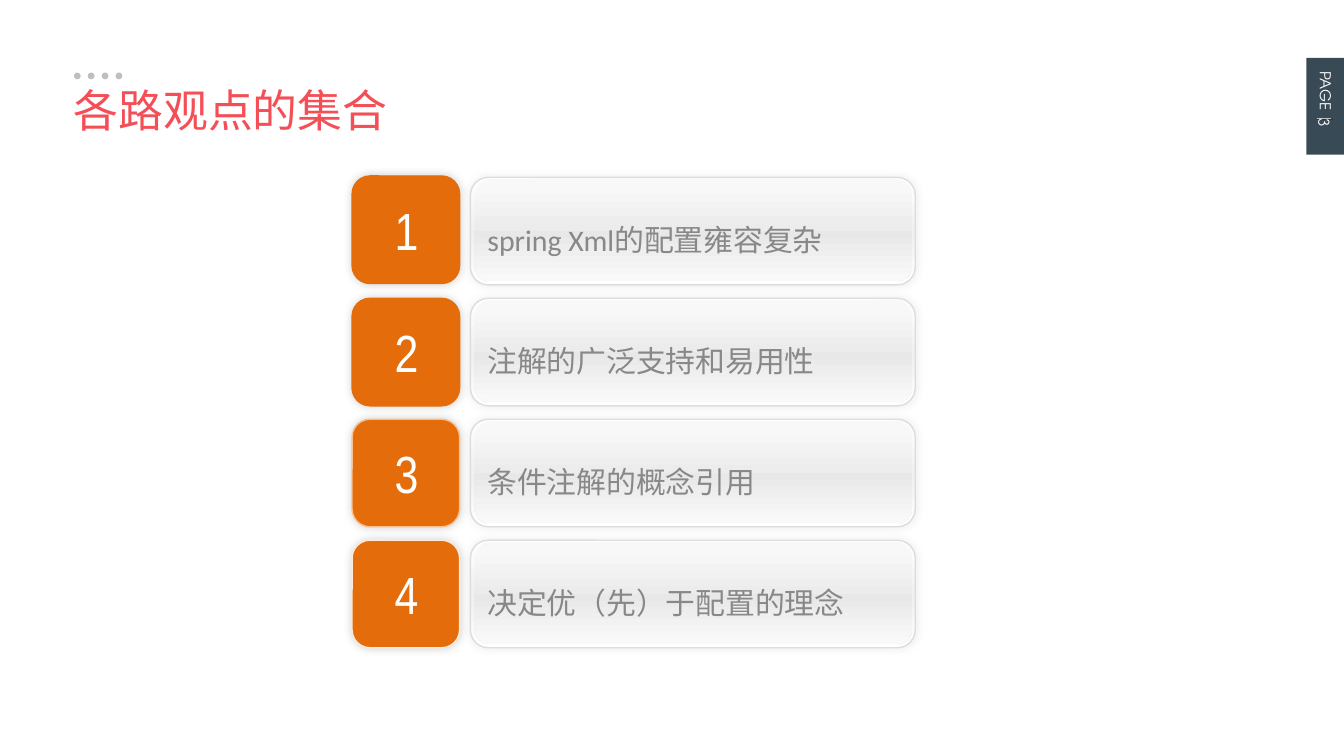
"""Build the slide that lists four viewpoints as numbered panels."""
from lxml.etree import SubElement
from pptx import Presentation
from pptx.dml.color import RGBColor
from pptx.enum.shapes import MSO_CONNECTOR, MSO_SHAPE
from pptx.enum.text import MSO_ANCHOR, MSO_AUTO_SIZE, PP_ALIGN
from pptx.oxml.ns import qn
from pptx.util import Inches, Pt

WHITE = RGBColor(0xFF, 0xFF, 0xFF)
SILVER = RGBColor(0xBF, 0xBF, 0xBF)
SLATE = RGBColor(0x39, 0x4A, 0x57)
DARK_SLATE = RGBColor(0x28, 0x33, 0x3C)
PANEL_EDGE = RGBColor(0xDD, 0xDD, 0xDD)
PANEL_TEXT = RGBColor(0x88, 0x88, 0x88)
ORANGE = RGBColor(0xE4, 0x6C, 0x0A)
PEACH = RGBColor(0xFA, 0xC0, 0x90)
CREAM = RGBColor(0xFD, 0xEA, 0xDA)
RED = RGBColor(0xF4, 0x4F, 0x56)

RIM_STOPS = [(0, "FFFFFF"), (52, "F0F0F0"), (100, "FFFFFF")]
FACE_STOPS = [(8, "F8F8F8"), (50, "ECECEC"), (52, "E8E8E8"), (98, "F9F9F9"), (100, "FFFFFF")]
ROWS = [
    ("spring Xml的配置雍容复杂", 1.31, ORANGE),
    ("注解的广泛支持和易用性", 2.22, ORANGE),
    ("条件注解的概念引用", 3.12, PEACH),
    ("决定优（先）于配置的理念", 4.02, CREAM),
]


def draw_shape(kind, left, top, width, height, fill, edge=None, shade=0):
    shape = page.shapes.add_shape(kind, Inches(left), Inches(top), Inches(width), Inches(height))
    shape.shadow.inherit = False
    properties = shape.element.spPr
    if isinstance(fill, list):
        shape.fill.gradient()
        shape.fill.gradient_angle = 270
        stops = properties.find(".//" + qn("a:gsLst"))
        stops.clear()
        for position, color in fill:
            stop = SubElement(stops, qn("a:gs"), pos=str(position * 1000))
            SubElement(stop, qn("a:srgbClr"), val=color)
    else:
        shape.fill.solid()
        shape.fill.fore_color.rgb = fill
    if edge is None:
        shape.line.fill.background()
    else:
        shape.line.color.rgb = edge
        shape.line.width = Pt(0.75)
    if shade:
        effects = properties.find(qn("a:effectLst"))
        shadow = SubElement(effects, qn("a:outerShdw"), blurRad=str(Pt(5)), dist="0", dir="0")
        color = SubElement(shadow, qn("a:srgbClr"), val="000000")
        SubElement(color, qn("a:alpha"), val=str(shade * 1000))
    return shape


def write_text(box, text, size, font, color, align=PP_ALIGN.LEFT):
    box.text_frame.text = text
    box.text_frame.word_wrap = True
    para = box.text_frame.paragraphs[0]
    para.alignment = align
    span = para.runs[0]
    span.font.size = Pt(size)
    span.font.name = font
    span.font.color.rgb = color
    SubElement(span.font._element, qn("a:ea"), typeface="Noto Sans CJK SC")
    return para


deck = Presentation()
deck.slide_width = Inches(10)
deck.slide_height = deck.slide_width * 9 // 16
page = deck.slides.add_slide(deck.slide_layouts[6])

for index in range(4):
    draw_shape(MSO_SHAPE.OVAL, 0.55 + 0.31 * index / 3, 0.54, 0.05, 0.05, SILVER)

draw_shape(MSO_SHAPE.RECTANGLE, 9.72, 0.43, 0.28, 0.72, SLATE)
page_label = page.shapes.add_textbox(Inches(9.5), Inches(0.67), Inches(0.72), Inches(0.24))
page_label.rotation = 90
write_text(page_label, "PAGE", 8, "TeX Gyre Adventor", WHITE)

for end, height, color in [(9.92, 0.89, DARK_SLATE), (9.9, 0.88, SILVER)]:
    rule = page.shapes.add_connector(
        MSO_CONNECTOR.STRAIGHT, Inches(9.8), Inches(height), Inches(end), Inches(height))
    rule.line.color.rgb = color
    rule.line.width = Pt(0.25)
    SubElement(rule.element.spPr, qn("a:effectLst"))

page_number = page.shapes.add_textbox(Inches(9.75), Inches(0.84), Inches(0.21), Inches(0.3))
write_text(page_number, "3", 8, "TeX Gyre Adventor", WHITE, PP_ALIGN.CENTER)
page_number.element.txBody.bodyPr.set("vert", "eaVert")
frame = page_number.text_frame
frame.margin_left = frame.margin_right = frame.margin_top = frame.margin_bottom = Inches(0.04)

for index, (text, tile_top, tile_edge) in enumerate(ROWS):
    top = 1.32 + 0.9 * index
    draw_shape(MSO_SHAPE.ROUNDED_RECTANGLE, 3.5, top, 3.31, 0.8, RIM_STOPS, PANEL_EDGE, 8)
    panel = draw_shape(MSO_SHAPE.ROUNDED_RECTANGLE, 3.53, top + 0.01, 3.26, 0.77, FACE_STOPS)
    panel.text_frame.vertical_anchor = MSO_ANCHOR.MIDDLE
    panel.text_frame.margin_left = Inches(0.06)
    write_text(panel, text, 16, "Calibri", PANEL_TEXT).line_spacing = 1.5
    draw_shape(MSO_SHAPE.ROUNDED_RECTANGLE, 2.62, tile_top, 0.8, 0.8, ORANGE, tile_edge, 18)
    tile = draw_shape(MSO_SHAPE.ROUNDED_RECTANGLE, 2.65, tile_top + 0.01, 0.75, 0.77, ORANGE)
    tile.text_frame.vertical_anchor = MSO_ANCHOR.MIDDLE
    write_text(tile, str(index + 1), 28, "Arial Narrow", WHITE, PP_ALIGN.CENTER)

title = page.shapes.add_textbox(Inches(0.45), Inches(0.57), Inches(2.53), Inches(0.53))
write_text(title, "各路观点的集合", 24, "Noto Sans CJK SC", RED)
title.text_frame.word_wrap = False
title.text_frame.auto_size = MSO_AUTO_SIZE.SHAPE_TO_FIT_TEXT

deck.save("out.pptx")
